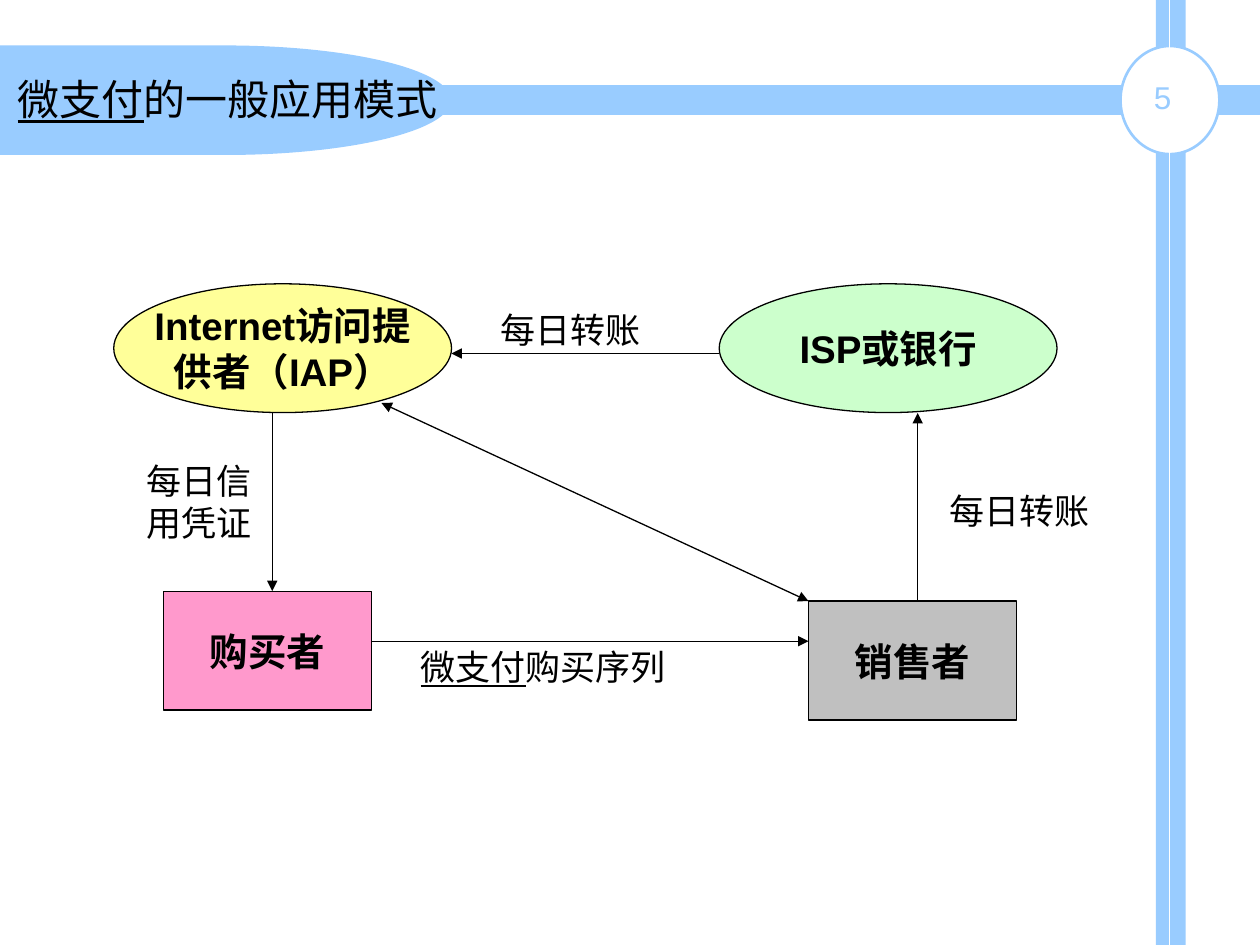
from lxml import etree
from pptx import Presentation
from pptx.dml.color import RGBColor
from pptx.enum.shapes import MSO_CONNECTOR, MSO_SHAPE
from pptx.enum.text import MSO_ANCHOR, MSO_AUTO_SIZE, PP_ALIGN
from pptx.oxml.ns import qn
from pptx.util import Pt

STRAIGHT = MSO_CONNECTOR.STRAIGHT
DELAY = MSO_SHAPE.FLOWCHART_DELAY
OVAL = MSO_SHAPE.OVAL
RECTANGLE = MSO_SHAPE.RECTANGLE
MIDDLE = MSO_ANCHOR.MIDDLE
NO_AUTOFIT = MSO_AUTO_SIZE.NONE
LEFT = PP_ALIGN.LEFT
CENTER = PP_ALIGN.CENTER
TITLE_ONLY = 5
BLACK, WHITE, SKY = "000000", "FFFFFF", "99CCFF"
LATIN, CHINESE = "Arial", "Noto Sans CJK SC"


def rgb(value):
    return RGBColor.from_string(value)


def write(frame, text, size=20, color=BLACK, bold=False, align=LEFT,
          wrap=False, underlined="", font=LATIN):
    """Fill a text frame, one paragraph per line, after an optional underlined lead."""
    frame.word_wrap = wrap
    frame.auto_size = NO_AUTOFIT
    frame.vertical_anchor = MIDDLE
    for index, line in enumerate(text.split("\n")):
        paragraph = frame.add_paragraph() if index else frame.paragraphs[0]
        paragraph.alignment = align
        lead = "" if index else underlined
        for words, underline in ((lead, True), (line, False)):
            if not words:
                continue
            run = paragraph.add_run()
            run.text = words
            run.font.name = font
            run.font.size = Pt(size)
            run.font.bold = bold
            run.font.underline = underline
            run.font.color.rgb = rgb(color)
            east_asian = etree.Element(qn("a:ea"), typeface=CHINESE)
            run.font._element.find(qn("a:latin")).addnext(east_asian)


class Diagram:
    """Draws styled elements on one slide, with lengths in points."""

    def __init__(self, slide, line_width=0.75):
        self.slide = slide
        self.line_width = line_width

    def shape(self, kind, box, fill, line=None, width=None):
        shape = self.slide.shapes.add_shape(kind, *map(Pt, box))
        shape.shadow.inherit = False
        shape.fill.solid()
        shape.fill.fore_color.rgb = rgb(fill)
        if line:
            shape.line.color.rgb = rgb(line)
            shape.line.width = Pt(width or self.line_width)
        else:
            shape.line.fill.background()
        return shape

    def party(self, kind, box, fill, name):
        party = self.shape(kind, box, fill, BLACK)
        write(party.text_frame, name, size=22, bold=True, align=CENTER)

    def line(self, start, end, color=BLACK, heads=()):
        line = self.slide.shapes.add_connector(STRAIGHT, *map(Pt, (*start, *end)))
        line.line.color.rgb = rgb(color)
        line.line.width = Pt(self.line_width)
        properties = line.line._get_or_add_ln()
        for head in heads:
            etree.SubElement(properties, qn(f"a:{head}"), type="triangle")
        etree.SubElement(properties.getparent(), qn("a:effectLst"))

    def label(self, box, text, **style):
        label = self.slide.shapes.add_textbox(*map(Pt, box))
        write(label.text_frame, text, **style)

    def title(self, box, text, **style):
        title = self.slide.shapes.title
        title.left, title.top, title.width, title.height = map(Pt, box)
        write(title.text_frame, text, **style)
        title.element.getparent().append(title.element)


def main():
    presentation = Presentation()
    presentation.slide_width, presentation.slide_height = Pt(720), Pt(540)
    layout = presentation.slide_layouts[TITLE_ONLY]
    diagram = Diagram(presentation.slides.add_slide(layout))

    diagram.shape(DELAY, (0, 26, 257.8, 62.6), SKY)
    diagram.shape(RECTANGLE, (170, 48.7, 550, 17), SKY)
    diagram.shape(RECTANGLE, (660.5, 0, 17, 540), SKY)
    diagram.shape(OVAL, (640.3, 26.3, 56.5, 61.8), WHITE, SKY, 1.5)
    diagram.line((668.2, 0), (668.2, 540), WHITE)
    diagram.label((652.3, 41, 31, 28.8), "5", size=18, color=SKY)
    diagram.title((2.9, 38.2, 266.4, 36), "的一般应用模式", size=24,
                  underlined="微支付", font=CHINESE, wrap=True)

    oval, block = (193, 73.6), (119, 68)
    parties = (
        (OVAL, (65, 162.2, *oval), "FFFF99", "Internet访问提\n供者（IAP）"),
        (OVAL, (411, 162.2, *oval), "CCFFCC", "ISP或银行"),
        (RECTANGLE, (93.4, 337.8, *block), "FF99CC", "购买者"),
        (RECTANGLE, (462, 343.5, *block), "C0C0C0", "销售者"),
    )
    for party in parties:
        diagram.party(*party)

    one_way, both_ways = ("tailEnd",), ("headEnd", "tailEnd")
    flows = (
        ((155.6, 236), (155.6, 337.8), one_way),
        ((411, 202), (258, 202), one_way),
        ((212.4, 366.4), (462, 366.4), one_way),
        ((524.4, 343.5), (524.4, 236), one_way),
        ((218, 230.3), (462, 343.5), both_ways),
    )
    for start, end, heads in flows:
        diagram.line(start, end, heads=heads)

    diagram.label((279, 172.3, 94.5, 31.5), "每日转账")
    diagram.label((76.5, 258.8, 74, 55.4), "每日信\n用凭证")
    diagram.label((233.3, 365.3, 155, 31.5), "购买序列", underlined="微支付")
    diagram.label((535.5, 275.8, 94.5, 31.5), "每日转账")
    presentation.save("out.pptx")


if __name__ == "__main__":
    main()
